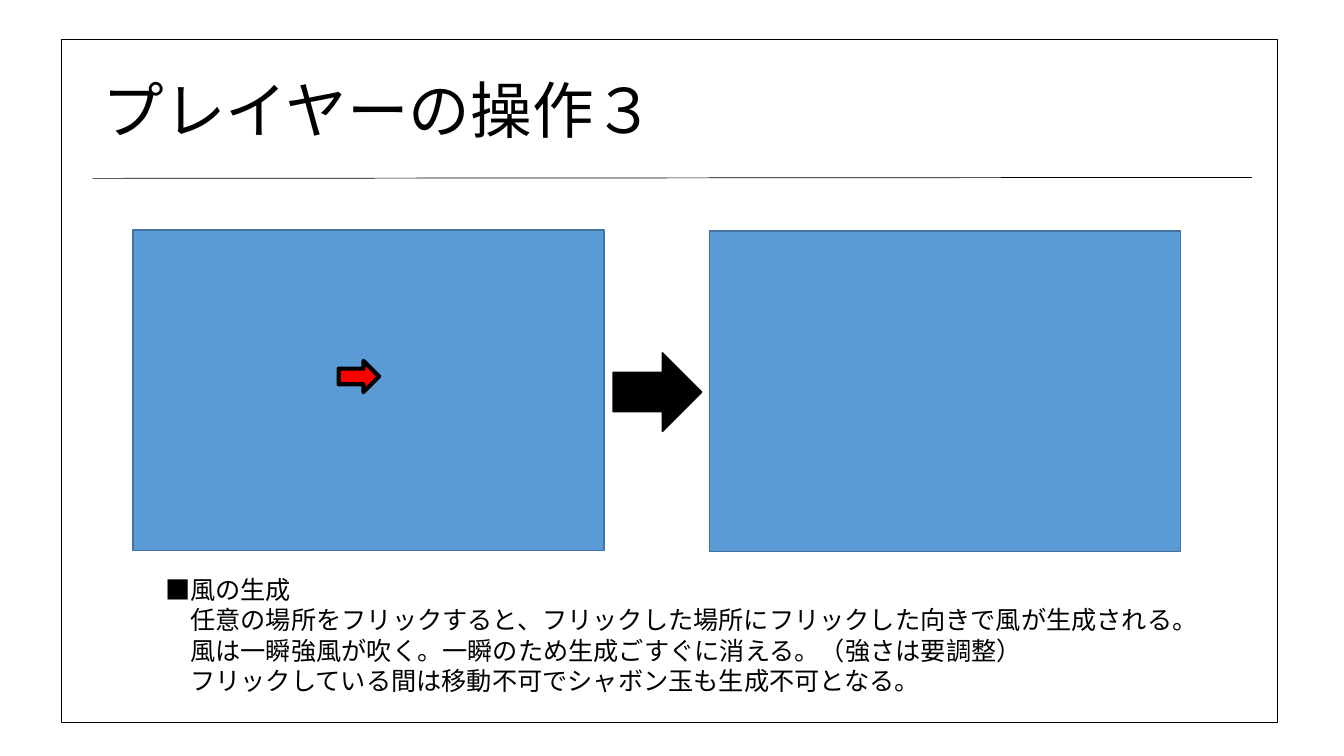
from dataclasses import dataclass
from typing import Optional

from lxml.etree import SubElement
from pptx import Presentation
from pptx.dml.color import RGBColor
from pptx.enum.shapes import MSO_CONNECTOR, MSO_SHAPE
from pptx.enum.text import MSO_ANCHOR
from pptx.oxml.ns import qn
from pptx.util import Inches, Pt


@dataclass(frozen=True)
class Theme:
    font: str = "Calibri"
    title_size: float = 44
    body_size: float = 18
    ink: str = "000000"
    screen: str = "5B9BD5"
    screen_edge: str = "43739E"
    flick: str = "FF0000"


@dataclass(frozen=True)
class Figure:
    kind: MSO_SHAPE
    left: float
    top: float
    width: float
    height: float
    fill: Optional[str]
    line: str
    line_width: float = 1


@dataclass(frozen=True)
class TextBlock:
    left: float
    top: float
    width: float
    height: float
    lines: tuple[str, ...]
    size: float
    anchor: MSO_ANCHOR = MSO_ANCHOR.TOP
    line_spacing: float = 1.0
    indent: float = 0  # applies to every line after the first


THEME = Theme()
SCREEN_WIDTH, SCREEN_HEIGHT = 4.67, 3.18

# Game screens before and after the flick, arrows and page frame
FIGURES = (
    Figure(MSO_SHAPE.RECTANGLE, 1.32, 2.28, SCREEN_WIDTH, SCREEN_HEIGHT,
           THEME.screen, THEME.screen_edge),
    Figure(MSO_SHAPE.RIGHT_ARROW, 3.36, 3.58, 0.4, 0.31, THEME.flick, THEME.ink, 3),
    Figure(MSO_SHAPE.RECTANGLE, 7.04, 2.29, SCREEN_WIDTH, SCREEN_HEIGHT,
           THEME.screen, THEME.screen_edge),
    Figure(MSO_SHAPE.RIGHT_ARROW, 6.08, 3.5, 0.88, 0.78, THEME.ink, THEME.ink),
    Figure(MSO_SHAPE.RECTANGLE, 0.61, 0.39, 12.06, 6.78, None, THEME.ink),
)

# Title and explanation
TEXTS = (
    TextBlock(0.92, 0.4, 11.5, 1.45, ("プレイヤーの操作３",), THEME.title_size,
              MSO_ANCHOR.MIDDLE, 0.9),
    TextBlock(1.54, 5.65, 10.53, 1.31, (
        "■風の生成",
        "任意の場所をフリックすると、フリックした場所にフリックした向きで風が生成される。",
        "風は一瞬強風が吹く。一瞬のため生成ごすぐに消える。（強さは要調整）",
        "フリックしている間は移動不可でシャボン玉も生成不可となる。",
    ), THEME.body_size, indent=0.25),
)


def draw_figure(page, figure: Figure) -> None:
    shape = page.shapes.add_shape(
        figure.kind, Inches(figure.left), Inches(figure.top),
        Inches(figure.width), Inches(figure.height))
    shape.shadow.inherit = False
    if figure.fill is None:
        shape.fill.background()
    else:
        shape.fill.solid()
        shape.fill.fore_color.rgb = RGBColor.from_string(figure.fill)
    shape.line.color.rgb = RGBColor.from_string(figure.line)
    shape.line.width = Pt(figure.line_width)


def draw_text(page, block: TextBlock) -> None:
    box = page.shapes.add_textbox(
        Inches(block.left), Inches(block.top),
        Inches(block.width), Inches(block.height))
    frame = box.text_frame
    frame.word_wrap = True
    frame.vertical_anchor = block.anchor
    font_format = {"name": THEME.font, "size": Pt(block.size)}
    for index, line in enumerate(block.lines):
        para = frame.add_paragraph() if index else frame.paragraphs[0]
        para.line_spacing = block.line_spacing
        if index and block.indent:
            para._p.get_or_add_pPr().set("marL", str(Inches(block.indent)))
        span = para.add_run()
        span.text = line
        for name, value in font_format.items():
            setattr(span.font, name, value)
        span.font.color.rgb = RGBColor.from_string(THEME.ink)


def draw_title_rule(page) -> None:
    rule = page.shapes.add_connector(
        MSO_CONNECTOR.STRAIGHT, Inches(0.92), Inches(1.77), Inches(12.42), Inches(1.76))
    rule.line.color.rgb = RGBColor.from_string(THEME.ink)
    rule.line.width = Pt(0.5)
    SubElement(rule._element.spPr, qn("a:effectLst"))


def main() -> None:
    deck = Presentation()
    deck.slide_width, deck.slide_height = Inches(13.33), Inches(7.5)
    page = deck.slides.add_slide(deck.slide_layouts[6])
    for figure in FIGURES:
        draw_figure(page, figure)
    for block in TEXTS:
        draw_text(page, block)
    draw_title_rule(page)
    deck.save("out.pptx")


if __name__ == "__main__":
    main()
